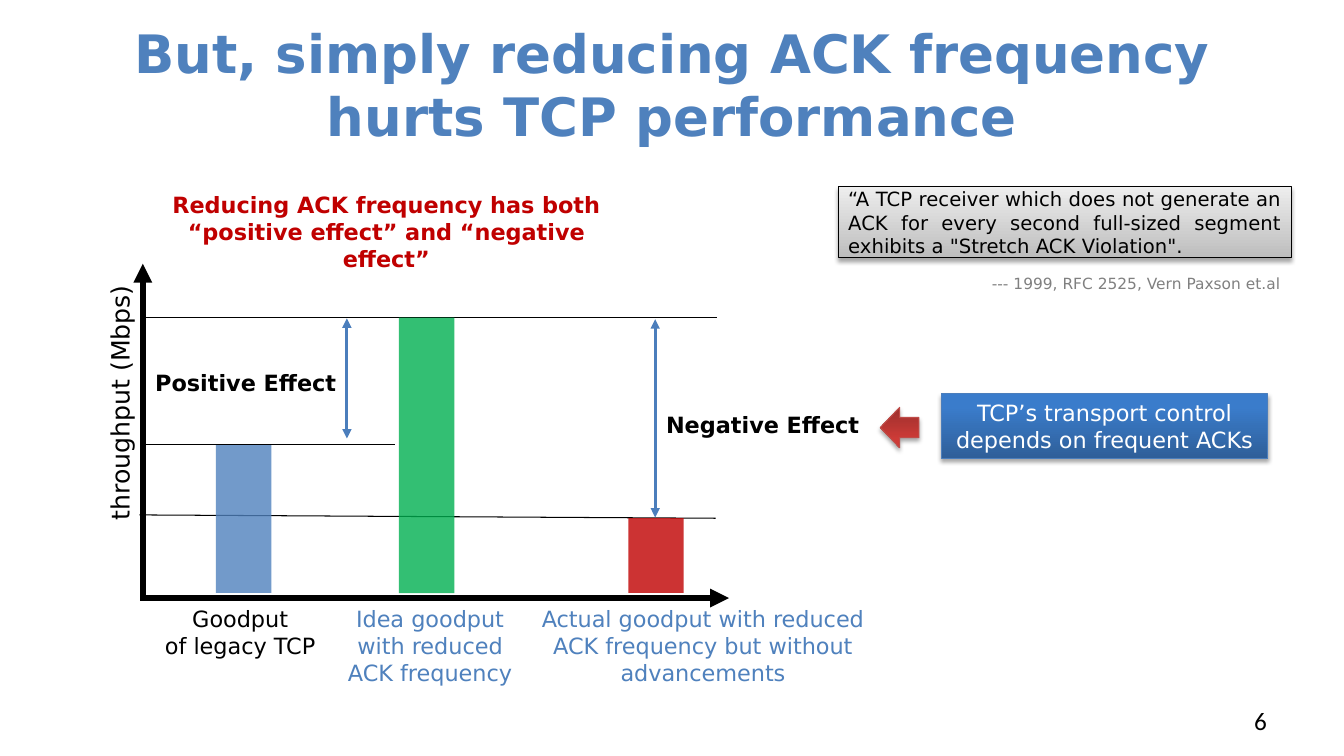
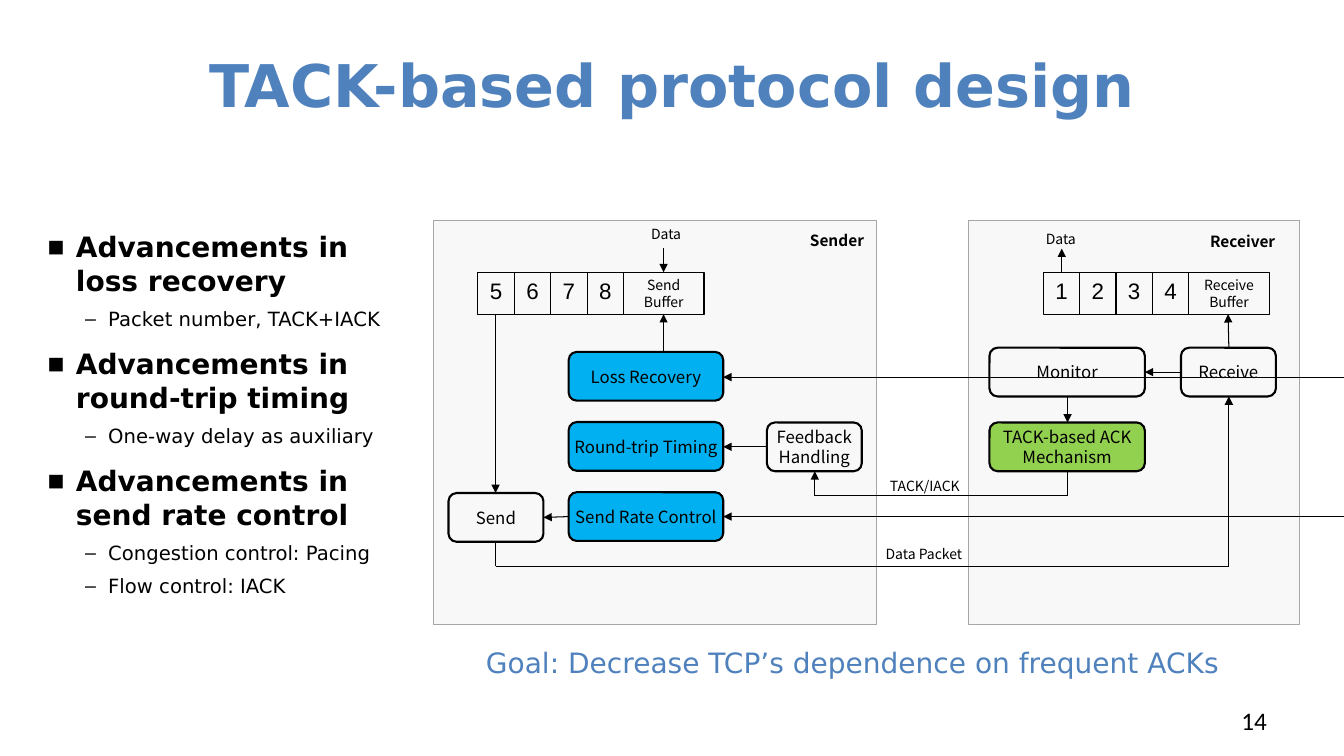
from itertools import pairwise

from lxml.etree import SubElement as Sub
from pptx import Presentation
from pptx.dml.color import RGBColor as RGB
from pptx.enum.shapes import MSO_CONNECTOR as Conn, MSO_SHAPE as Kind
from pptx.enum.text import MSO_ANCHOR as Anchor, PP_ALIGN as Align
from pptx.oxml.ns import qn
from pptx.util import Emu, Inches, Pt

COLS, ROWS = 160, 90
CELL = Inches(7.5) // ROWS

BLACK = RGB(0x00, 0x00, 0x00)
WHITE = RGB(0xFF, 0xFF, 0xFF)
GRAY = RGB(0x80, 0x80, 0x80)
EDGE = RGB(0xA6, 0xA6, 0xA6)
PALE = RGB(0xF2, 0xF2, 0xF2)
BLUE = RGB(0x4F, 0x81, 0xBD)
STEEL = RGB(0x4B, 0x7E, 0xBC)
GREEN = RGB(0x00, 0xB0, 0x50)
RED = RGB(0xC0, 0x00, 0x00)
ROSE = RGB(0xBF, 0x4C, 0x48)
SKY = RGB(0x00, 0xB0, 0xF0)
LIME = RGB(0x92, 0xD0, 0x50)
# Gradients: bottom colour, top colour, position of the top colour
RED_FADE = RGB(0x9C, 0x2F, 0x2D), RGB(0xCE, 0x3B, 0x37), 0.8
BLUE_FADE = RGB(0x2F, 0x5F, 0x99), RGB(0x3A, 0x7C, 0xCB), 0.8
GRAY_FADE = RGB(0xBD, 0xBD, 0xBD), RGB(0xEE, 0xEE, 0xEE), 1

BODY, NOTO, ARIAL, PAGE = "DejaVu Sans", "Noto Sans CJK SC", "Arial", "Calibri"
PAD = (0.1, 0.05)


def grid(*cells):
    return [Emu(round(n * CELL)) for n in cells]


class Deck:
    """Holds the style and the current slide; places are in grid cells."""

    def __init__(self):
        self.prs = Presentation()
        self.prs.slide_width, self.prs.slide_height = grid(COLS, ROWS)

    def page(self, title, size, number):
        blank = self.prs.slide_layouts[6]
        self.shapes = self.prs.slides.add_slide(blank).shapes
        self.text((8, 2.5, 144, 15), title, size, BLUE, bold=True,
                  anchor=Anchor.MIDDLE)
        self.text((114.7, 83.4, 37.3, 4.8), str(number), 18, font=PAGE,
                  align=Align.RIGHT)

    def frame(self, shape, pad, anchor, wrap=True):
        frame = shape.text_frame
        frame.word_wrap, frame.vertical_anchor = wrap, anchor
        frame.margin_left = frame.margin_right = Inches(pad[0])
        frame.margin_top = frame.margin_bottom = Inches(pad[1])
        return frame

    def style(self, para, size, color, font, bold):
        face = para.font
        face.size, face.name, face.bold = Pt(size), font, bold
        face.color.rgb = color

    def put(self, shape, text, size, color=BLACK, font=BODY, bold=False,
            align=Align.CENTER, anchor=Anchor.TOP, pad=PAD, wrap=True):
        frame = self.frame(shape, pad, anchor, wrap)
        for i, line in enumerate(text.split("\n")):
            para = frame.add_paragraph() if i else frame.paragraphs[0]
            para.text, para.alignment = line, align
            self.style(para, size, color, font, bold)

    def text(self, box, text, size, color=BLACK, turn=0, **look):
        shape = self.shapes.add_textbox(*grid(*box))
        shape.rotation = turn
        self.put(shape, text, size, color, **look)

    def label(self, box, text, size=10, color=BLACK, font=NOTO, **look):
        self.text(box, text, size, color, font=font, wrap=False, **look)

    def shape(self, box, fill=None, line=None, width=0.75, kind=Kind.RECTANGLE,
              alpha=None):
        shape = self.shapes.add_shape(kind, *grid(*box))
        shape.shadow.inherit = False
        if fill is None:
            shape.fill.background()
        else:
            shape.fill.solid()
            shape.fill.fore_color.rgb = fill
        if alpha:
            tint = next(shape._element.iter(qn("a:srgbClr")))
            Sub(tint, qn("a:alpha"), val=str(alpha * 1000))
        if line is None:
            shape.line.fill.background()
        else:
            shape.line.color.rgb, shape.line.width = line, Pt(width)
        return shape

    def raised(self, box, fade, line, **look):
        """A shape with a vertical gradient and a soft shadow below."""
        shape = self.shape(box, WHITE, line, **look)
        low, high, end = fade
        shape.fill.gradient()
        shape.fill.gradient_angle = 90
        for stop, color, place in zip(shape.fill.gradient_stops,
                                      (low, high), (0, end)):
            stop.color.rgb, stop.position = color, place
        glow = Sub(shape._element.spPr.find(qn("a:effectLst")),
                   qn("a:outerShdw"), blurRad=str(Pt(3.1)),
                   dist=str(Pt(1.8)), dir="5400000", rotWithShape="0")
        tint = Sub(glow, qn("a:srgbClr"), val="000000")
        Sub(tint, qn("a:alpha"), val="35000")
        return shape

    def node(self, box, text, fill=None):
        shape = self.shape((*box, 5.8), fill, BLACK, 1.5,
                           Kind.ROUNDED_RECTANGLE)
        self.put(shape, text, 12, font=NOTO, anchor=Anchor.MIDDLE,
                 pad=(0, 0))

    def buffer(self, left, digits, name):
        """A row of numbered cells with a wide named cell at its end."""
        top, step, high = 32.4, 4.33, 5
        for i, digit in enumerate(digits):
            cell = self.shape((left + i * step, top, step, high), None, BLACK)
            self.put(cell, digit, 16, font=ARIAL)
        cell = self.shape((left + len(digits) * step, top, 9.6, high),
                          None, BLACK)
        self.put(cell, name, 10, font=NOTO, anchor=Anchor.MIDDLE, pad=(0, 0))

    def line(self, start, end, width=0.75, color=BLACK, ends=()):
        wire = self.shapes.add_connector(Conn.STRAIGHT, *grid(*start, *end))
        wire.line.color.rgb, wire.line.width = color, Pt(width)
        outline = wire._element.spPr.find(qn("a:ln"))
        for tip in ends:
            Sub(outline, qn("a:" + tip), type="triangle")
        Sub(wire._element.spPr, qn("a:effectLst"))

    def arrow(self, *stops, width=0.75):
        """A line through all stops, with a head at the last one."""
        legs = list(pairwise(stops))
        for leg in legs[:-1]:
            self.line(*leg, width)
        self.line(*legs[-1], width, ends=["tailEnd"])

    def span(self, x, top, low):
        self.line((x, top), (x, low), 2.25, STEEL, ["headEnd", "tailEnd"])

    def points(self, box, items):
        """Bold headings, each with a list of dashed lines below."""
        frame = self.frame(self.shapes.add_textbox(*grid(*box)),
                           (0.09, 0.04), Anchor.TOP)
        para = frame.paragraphs[0]
        for i, (head, subs) in enumerate(items):
            if i:
                para = frame.add_paragraph()
            para.space_before = Pt(12 if i else 6)
            self.point(para, head, "■", 0.28, 0.28, 20, True)
            for sub in subs:
                para = frame.add_paragraph()
                para.level, para.line_spacing = 1, 1.4
                self.point(para, sub, "–", 0.6, 0.23, 14, False)

    def point(self, para, text, mark, left, hang, size, bold):
        para.text = text
        props = para._p.get_or_add_pPr()
        props.set("marL", str(Inches(left)))
        props.set("indent", str(-Inches(hang)))
        Sub(props, qn("a:buFont"), typeface=ARIAL)
        Sub(props, qn("a:buChar"), char=mark)
        self.style(para, size, BLACK, BODY, bold)


def effects(deck):
    deck.page("But, simply reducing ACK frequency hurts TCP performance",
              37.8, 6)
    deck.line((16.6, 61.3), (85.2, 61.7))
    deck.line((17, 37.8), (85.3, 37.8))
    deck.line((16.8, 52.9), (47, 52.9))
    deck.arrow((17, 71.3), (17, 31.4), width=4.5)
    deck.arrow((16.7, 71.2), (86.8, 71.2), width=4.5)
    deck.text((-3.1, 43.4, 34.7, 4.8), "throughput (Mbps)", 18, turn=270,
              align=Align.LEFT)

    base = 70.6
    bars = [
        (25.7, 53, BLUE, 17.8, 21.6, BLACK, "Goodput\nof legacy TCP"),
        (47.5, 37.8, GREEN, 39.4, 23.6, BLUE,
         "Idea goodput with reduced ACK frequency"),
        (74.8, 61.7, RED, 62, 43.4, BLUE,
         "Actual goodput with reduced ACK frequency but without advancements"),
    ]
    for x, top, fill, left, wide, color, name in bars:
        deck.shape((x, top, 6.6, base - top), fill, alpha=80)
        deck.text((left, 71.5, wide, 10.9), name, 16, color)

    deck.span(41.3, 37.9, 52.2)
    deck.span(78, 38, 61.6)
    deck.label((17.2, 43.4, 24.1, 4.4), "Positive Effect", 16, font=BODY,
               bold=True)
    deck.label((78.1, 48.4, 25.4, 4.4), "Negative Effect", 16, font=BODY,
               bold=True)

    cause = deck.raised((104.8, 48.5, 4.6, 4.8), RED_FADE, ROSE,
                        kind=Kind.RIGHT_ARROW)
    cause.rotation = 180
    reason = deck.raised((112.1, 46.9, 38.8, 7.7), BLUE_FADE, STEEL)
    deck.put(reason, "TCP’s transport control depends on frequent ACKs",
             16, WHITE)
    quote = deck.raised((99.8, 22.2, 53.9, 8.5), GRAY_FADE, BLACK)
    deck.put(quote, "“A TCP receiver which does not generate an ACK for "
             "every second full-sized segment exhibits a "
             '"Stretch ACK Violation".', 14, align=Align.JUSTIFY,
             anchor=Anchor.MIDDLE, pad=(0.1, 0))
    deck.text((116.9, 32.6, 38.8, 2.3), "--- 1999, RFC 2525, Vern Paxson et.al",
              11, GRAY, align=Align.LEFT, anchor=Anchor.MIDDLE, pad=(0.1, 0))
    deck.text((15.7, 22.2, 60.6, 7.7), "Reducing ACK frequency has both "
              "“positive effect” and “negative effect”", 16, RED, bold=True)


def design(deck):
    deck.page("TACK-based protocol design", 42, 14)
    for left, wide in (115.3, 39.4), (51.6, 52.8):
        deck.shape((left, 26.2, wide, 48.2), PALE, EDGE, alpha=50)
    deck.buffer(56.9, "5678", "Send\nBuffer")
    deck.buffer(124.2, "1234", "Receive\nBuffer")

    tasks = "Loss Recovery", "Round-trip Timing", "Send Rate Control"
    for i, task in enumerate(tasks):
        deck.node((67.7, 41.9 + i * 8.35, 18.4), task, SKY)
    deck.node((53.4, 58.7, 11.3), "Send")
    deck.node((91.3, 50.3, 11.3), "Feedback\nHandling")
    deck.node((117.8, 41.4, 18.5), "Monitor")
    deck.node((117.8, 50.3, 18.5), "TACK-based ACK Mechanism", LIME)
    deck.node((140.6, 41.4, 11.3), "Receive")

    paths = [
        [(79, 29.5), (79, 32.4)],
        [(59, 37.4), (59, 58.7)],
        [(79, 41.9), (79, 37.4)],
        [(67.7, 61.5), (64.7, 61.6)],
        [(91.3, 53.2), (86.1, 53.2)],
        [(COLS, 44.9), (86.1, 44.9)],
        [(COLS, 61.5), (86.1, 61.5)],
        [(59, 64.4), (59, 67.4), (146.3, 67.4), (146.3, 47.2)],
        [(127.1, 56.1), (127.1, 59), (97, 59), (97, 56.1)],
        [(127.1, 47.2), (127.1, 50.3)],
        [(140.6, 44.3), (136.3, 44.3)],
        [(146.3, 41.4), (146.2, 37.4)],
        [(126.4, 32.4), (126.4, 29.6)],
    ]
    for path in paths:
        deck.arrow(*path)

    deck.label((104.4, 56.2, 11.4, 3.2), "TACK/IACK")
    deck.label((104, 64.4, 12, 3.2), "Data Packet")
    deck.label((76.2, 26.2, 6.2, 3.2), "Data")
    deck.label((123.2, 26.9, 6.2, 3.2), "Data")
    deck.label((95.2, 26.9, 8.9, 3.5), "Sender", 11, bold=True)
    deck.label((142.8, 27.1, 10.3, 3.5), "Receiver", 11, bold=True)

    deck.points((4.6, 26.9, 44, 46.3), [
        ("Advancements in loss recovery", ["Packet number, TACK+IACK"]),
        ("Advancements in round-trip timing", ["One-way delay as auxiliary"]),
        ("Advancements in send rate control",
         ["Congestion control: Pacing", "Flow control: IACK"]),
    ])
    deck.label((56.2, 76.2, 90.6, 5.3),
               "Goal: Decrease TCP’s dependence on frequent ACKs", 20, BLUE,
               font=BODY)


def main():
    deck = Deck()
    effects(deck)
    design(deck)
    deck.prs.save("out.pptx")


if __name__ == "__main__":
    main()
